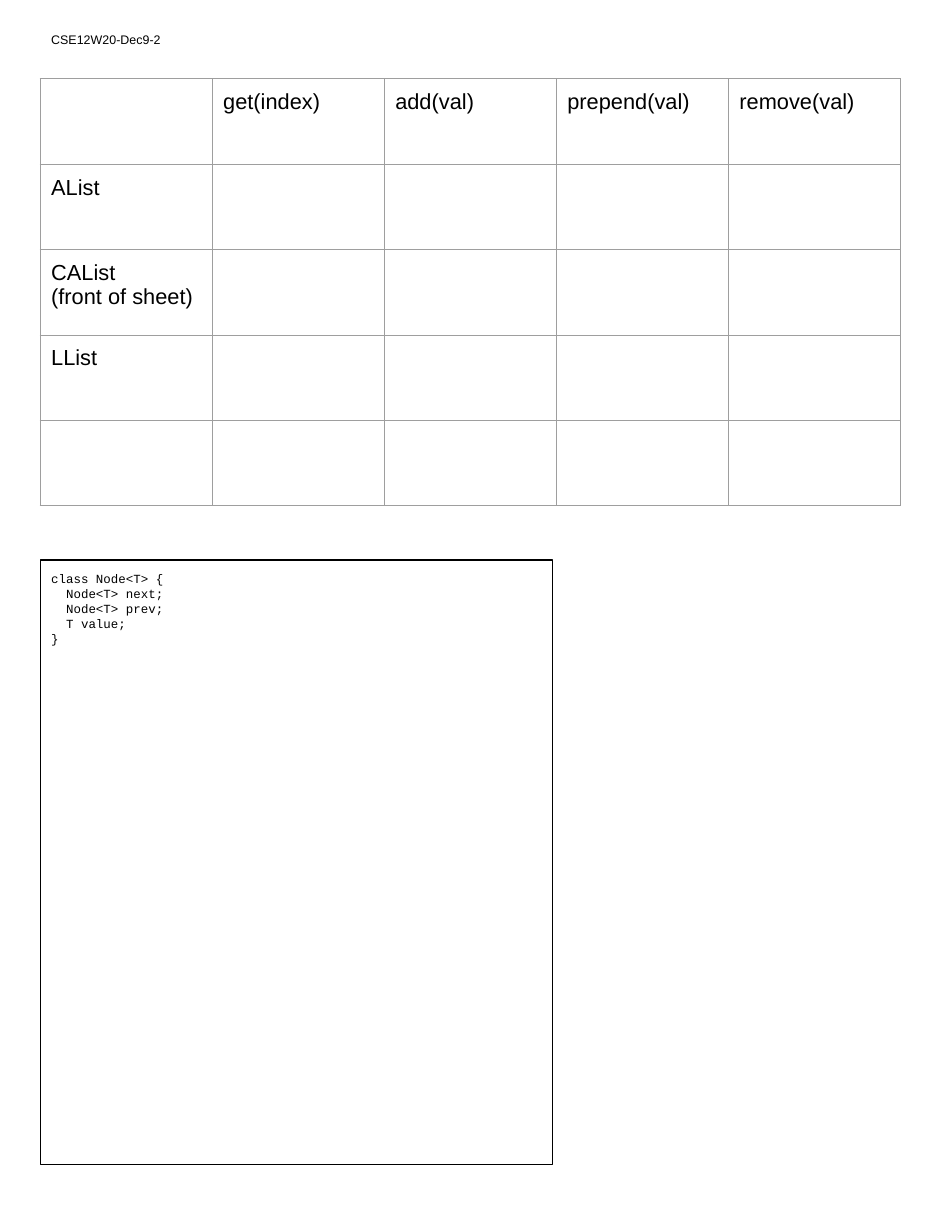
import lxml.etree
import pptx
import pptx.dml.color
import pptx.enum.shapes
import pptx.enum.text
import pptx.oxml.ns
import pptx.util

Cm = pptx.util.Cm
INSET = Cm(0.25)
OPERATIONS = ["", "get(index)", "add(val)", "prepend(val)", "remove(val)"]
STRUCTURES = ["AList", "CAList\n(front of sheet)", "LList", ""]
NODE_CODE = """class Node<T> {
  Node<T> next;
  Node<T> prev;
  T value;
}"""


def color(value):
    return pptx.dml.color.RGBColor.from_string(value)


def write_text(text_frame, text, size=8, font="Arial", fill="000000"):
    text_frame.text = text
    for paragraph in text_frame.paragraphs:
        paragraph.alignment = pptx.enum.text.PP_ALIGN.LEFT
        paragraph.font.size = pptx.util.Pt(size)
        for run in paragraph.runs:
            run.font.size = pptx.util.Pt(size)
            run.font.name = font
            run.font.color.rgb = color(fill)


def set_insets(container):
    container.margin_left = container.margin_right = INSET
    container.margin_top = container.margin_bottom = INSET
    container.vertical_anchor = pptx.enum.text.MSO_ANCHOR.TOP


def set_borders(cell, line_color, width):
    properties = cell._tc.get_or_add_tcPr()
    name = pptx.oxml.ns.qn
    for position, side in enumerate(("a:lnL", "a:lnR", "a:lnT", "a:lnB")):
        line = lxml.etree.Element(name(side), w=str(pptx.util.Pt(width)))
        fill = lxml.etree.SubElement(line, name("a:solidFill"))
        lxml.etree.SubElement(fill, name("a:srgbClr"), val=line_color)
        properties.insert(position, line)


def add_heading(slide, left, top, width, height):
    text_frame = slide.shapes.add_textbox(left, top, width, height).text_frame
    text_frame.word_wrap = True
    set_insets(text_frame)
    write_text(text_frame, "CSE12W20-Dec9-2")


def add_comparison_table(slide, left, top, width, height):
    rows = [OPERATIONS] + [[name] + [""] * (len(OPERATIONS) - 1) for name in STRUCTURES]
    table = slide.shapes.add_table(
        len(rows), len(OPERATIONS), left, top, width, height).table
    table.first_row = table.horz_banding = False
    for row_index, row in enumerate(rows):
        for column_index, text in enumerate(row):
            cell = table.cell(row_index, column_index)
            cell.fill.background()
            set_insets(cell)
            set_borders(cell, "9E9E9E", 0.75)
            write_text(cell.text_frame, text, size=14)


def add_code_box(slide, left, top, width, height):
    shape = slide.shapes.add_shape(
        pptx.enum.shapes.MSO_SHAPE.RECTANGLE, left, top, width, height)
    shape.shadow.inherit = False
    shape.fill.background()
    shape.line.color.rgb = color("000000")
    shape.line.width = pptx.util.Pt(0.75)
    shape.text_frame.word_wrap = True
    set_insets(shape.text_frame)
    write_text(shape.text_frame, NODE_CODE, font="Courier New")


def main():
    presentation = pptx.Presentation()
    presentation.slide_width = Cm(21.59)
    presentation.slide_height = Cm(27.94)
    slide = presentation.slides.add_slide(presentation.slide_layouts[6])
    left = Cm(0.91)
    add_heading(slide, left, Cm(0.56), Cm(4.98), Cm(0.84))
    add_code_box(slide, left, Cm(12.7), Cm(11.63), Cm(13.72))
    add_comparison_table(slide, left, Cm(1.79), Cm(19.51), Cm(9.68))
    presentation.save("out.pptx")


if __name__ == "__main__":
    main()
